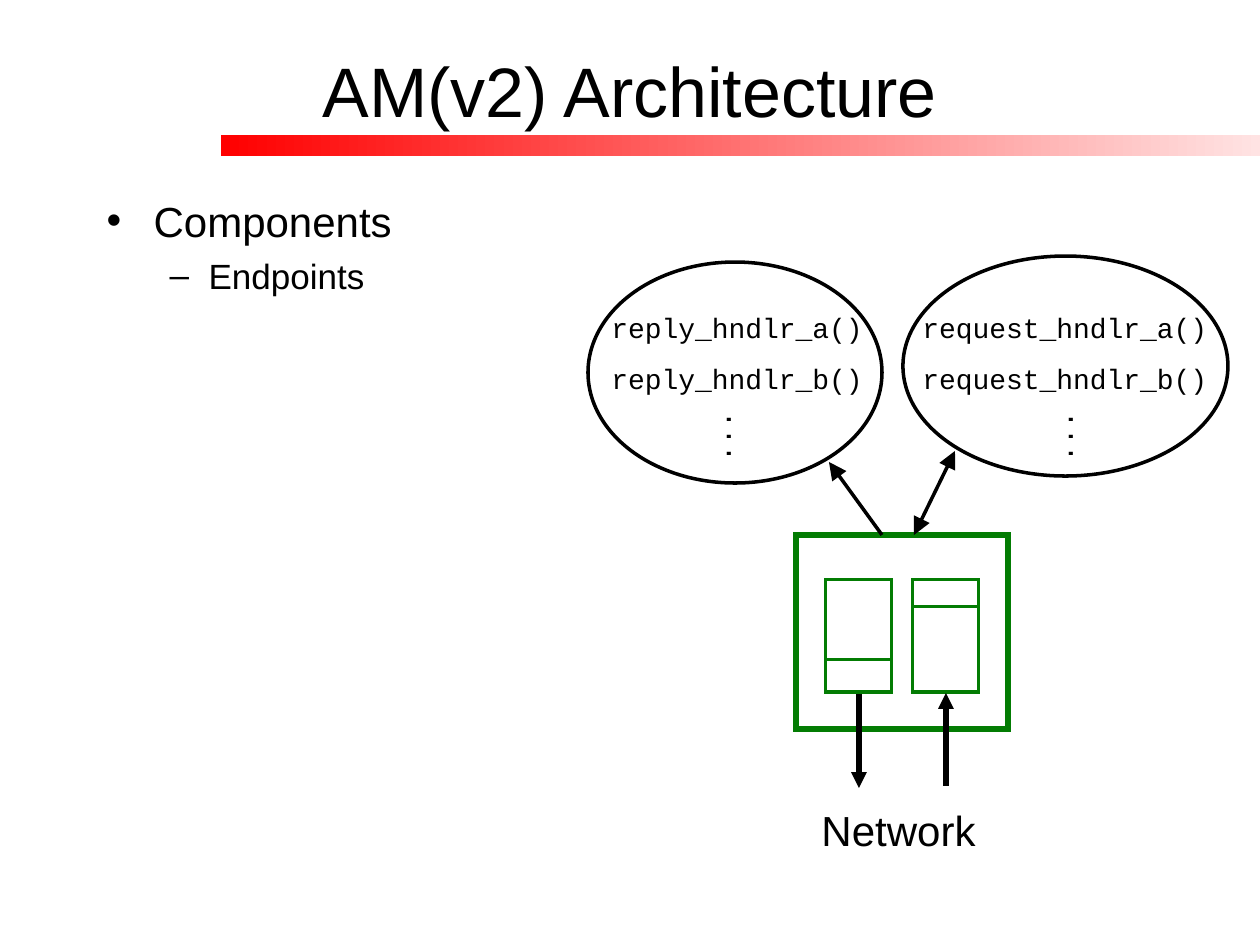
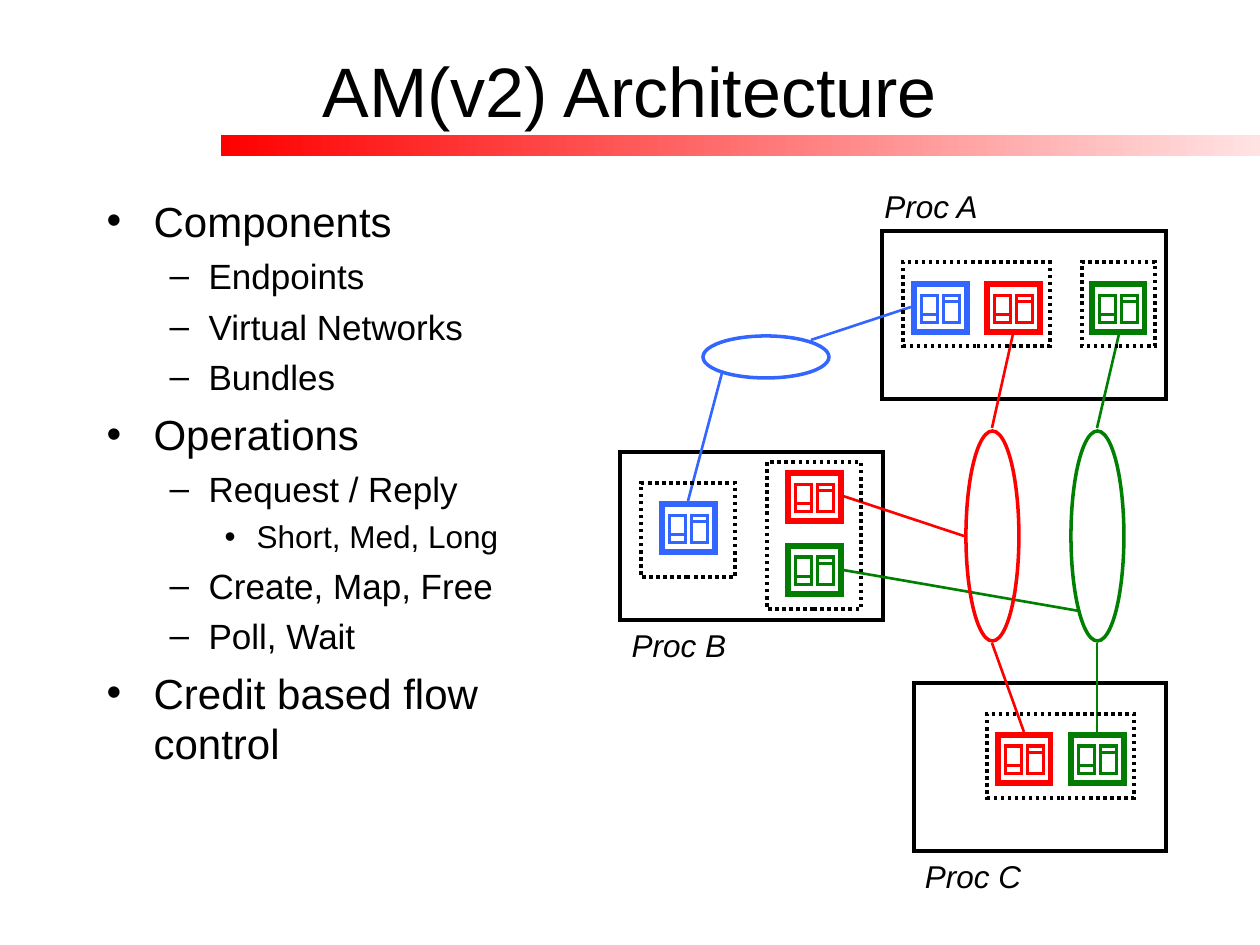
from lxml import etree
from pptx import Presentation
from pptx.dml.color import RGBColor
from pptx.enum.dml import MSO_LINE
from pptx.enum.shapes import MSO_CONNECTOR, MSO_SHAPE
from pptx.enum.text import MSO_ANCHOR, MSO_AUTO_SIZE, PP_ALIGN
from pptx.oxml.ns import qn
from pptx.util import Inches, Pt

# Scale, colours and enum members
PX = Inches(1) / 126
BLACK = RGBColor(0, 0, 0)
WHITE = RGBColor(255, 255, 255)
RED = RGBColor(255, 0, 0)
PINK = RGBColor(0xFF, 0xE3, 0xE3)
BLUE = RGBColor(0x33, 0x66, 0xFF)
GREEN = RGBColor(0x03, 0x7C, 0x03)
LIME = RGBColor(0, 0x80, 0)
RECT, OVAL = MSO_SHAPE.RECTANGLE, MSO_SHAPE.OVAL
STRAIGHT, DOTS = MSO_CONNECTOR.STRAIGHT, MSO_LINE.ROUND_DOT
LEFT, MID = PP_ALIGN.LEFT, PP_ALIGN.CENTER
CENTRE = MSO_ANCHOR.MIDDLE
FIXED, GROW = MSO_AUTO_SIZE.NONE, MSO_AUTO_SIZE.SHAPE_TO_FIT_TEXT
SANS, MONO = "Arial", "Courier New"

# Shared frame: places are left, top, width, height in px
TITLE = "AM(v2) Architecture"
TITLE_BOX = (94, 10, 1071, 158)
BODY_BOX = (94, 189, 473, 651)
BAR = (221, 135, 1039, 21)
# Per list level: bullet, size and space before in pt, margin and indent in px
LEVELS = [
    ("•", 24, 6, 47, -47),
    ("–", 20, 5, 102, -39),
    ("•", 18, 4.5, 150, -32),
]

# Slide 1: handlers, endpoint, network
SHORT = [(0, "Components"), (1, "Endpoints")]
TABLES = [  # oval, text box, dots box, names
    ((588, 262, 294, 221), (599, 304, 292, 97), (696, 418, 84, 47),
     ("reply_hndlr_a()", "reply_hndlr_b()")),
    ((903, 256, 325, 220), (910, 304, 324, 97), (1038, 418, 84, 47),
     ("request_hndlr_a()", "request_hndlr_b()")),
]
MAIN = (796, 535, 212, 194)
ARROWS = [  # from, to, width, head size, ends with a head
    ((859, 694), (859, 788), 3, "med", ("tail",)),
    ((946, 786), (946, 693), 3, "med", ("tail",)),
    ((914, 535), (955, 451), 2, "lg", ("head", "tail")),
    ((882, 535), (829, 462), 2, "lg", ("tail",)),
]
NET = ("Network", (799, 798, 199, 63))

# Slide 2: processes, bundles, endpoints, virtual networks
FULL = [
    (0, "Components"), (1, "Endpoints"), (1, "Virtual Networks"), (1, "Bundles"),
    (0, "Operations"), (1, "Request / Reply"), (2, "Short, Med, Long"),
    (1, "Create, Map, Free"), (1, "Poll, Wait"),
    (0, "Credit based flow control"),
]
PROCS = [  # label, label corner, process box
    ("Proc A", (861, 181), (882, 231, 284, 168)),
    ("Proc B", (609, 620), (620, 452, 263, 168)),
    ("Proc C", (903, 851), (914, 683, 252, 168)),
]
LABEL_SIZE = (140, 50)
BUNDLES = [
    (767, 462, 94, 147), (987, 714, 147, 84), (903, 262, 147, 84),
    (641, 483, 94, 94), (1082, 262, 73, 84),
]
ENDS = [  # colour, corners
    (RED, [(987, 284), (788, 473), (998, 735)]),
    (GREEN, [(1092, 284), (788, 546), (1071, 735)]),
    (BLUE, [(914, 284), (662, 504)]),
]
END_SIZE = (53, 48)
NETS = [  # colour, oval, links
    (LIME, (1071, 431, 53, 210),
     [((1119, 334), (1097, 428)), ((1097, 732), (1097, 643)),
      ((843, 570), (1079, 611))]),
    (RED, (966, 431, 53, 210),
     [((1013, 334), (992, 428)), ((1024, 732), (992, 643)),
      ((843, 496), (964, 536))]),
    (BLUE, (703, 336, 126, 42),
     [((811, 340), (911, 307)), ((722, 373), (688, 501))]),
]

# Endpoint queues as shares of the box: left edge, height of the level mark
QUEUES = [(0.14, 0.64), (0.55, 0.37)]
Q_TOP, Q_WIDE, Q_HIGH = 0.23, 0.31, 0.58


def emu(*nums):
    return [round(n * PX) for n in nums]


def say(frame, text, size=16, font=SANS, align=LEFT, before=0, italic=False):
    """Add one formatted paragraph to a text frame."""
    para = frame.add_paragraph() if frame.text else frame.paragraphs[0]
    para.alignment, para.space_before = align, Pt(before)
    run = para.add_run()
    run.text = text
    run.font.name, run.font.size = font, Pt(size)
    run.font.italic = italic
    run.font.color.rgb = BLACK
    return para


def label(slide, box, lines, wrap=True, turn=0, **fmt):
    note = slide.shapes.add_textbox(*emu(*box))
    note.rotation = turn
    frame = note.text_frame
    frame.word_wrap = wrap
    frame.auto_size = GROW
    frame.vertical_anchor = CENTRE
    for line in lines:
        say(frame, line, **fmt)


def draw(shapes, kind, box, ink=BLACK, width=2, fill=None, dash=None):
    item = shapes.add_shape(kind, *emu(*box))
    item.shadow.inherit = False
    if fill is None:
        item.fill.background()
    else:
        item.fill.solid()
        item.fill.fore_color.rgb = fill
    item.line.color.rgb, item.line.width = ink, Pt(width)
    if dash:
        item.line.dash_style = dash
    edge = item.element.spPr.find(qn("a:ln"))
    etree.SubElement(edge, qn("a:miter"), lim="800000")


def link(shapes, start, end, ink=BLACK, width=1.5, size="med", heads=()):
    line = shapes.add_connector(STRAIGHT, *emu(*start, *end))
    line.line.color.rgb, line.line.width = ink, Pt(width)
    props = line.element.spPr
    for side in heads:
        etree.SubElement(props.find(qn("a:ln")), qn(f"a:{side}End"),
                         type="triangle", w=size, len=size)
    etree.SubElement(props, qn("a:effectLst"))


def endpoint(slide, box, ink):
    """Draw a box with two queues, each with a level mark."""
    x, y, wide, high = box
    parts = slide.shapes.add_group_shape().shapes
    draw(parts, RECT, box, ink, 3)
    for left, mark in QUEUES:
        qx, qw, my = x + left * wide, Q_WIDE * wide, y + mark * high
        draw(parts, RECT, (qx, y + Q_TOP * high, qw, Q_HIGH * high), ink, 1.75, WHITE)
        link(parts, (qx, my), (qx + qw, my), ink, 1.75)


def place(item, box):
    item.left, item.top, item.width, item.height = emu(*box)


def add_bar(slide, layout):
    """Draw the fading band and move it to the layout."""
    bar = slide.shapes.add_shape(RECT, *emu(*BAR))
    bar.shadow.inherit = False
    bar.line.fill.background()
    bar.fill.gradient()
    bar.fill.gradient_angle = 0
    for stop, tint in zip(bar.fill.gradient_stops, (RED, PINK)):
        stop.color.rgb = tint
    layout.shapes.element.append(bar.element)


def add_slide(deck, layout, items):
    slide = deck.slides.add_slide(layout)
    head, body = slide.placeholders
    for item, box in ((head, TITLE_BOX), (body, BODY_BOX)):
        place(item, box)
        item.text_frame.auto_size = FIXED
    head.text_frame.vertical_anchor = CENTRE
    say(head.text_frame, TITLE, size=40, align=MID)
    for level, text in items:
        mark, size, gap, margin, indent = LEVELS[level]
        para = say(body.text_frame, text, size=size, before=gap)
        para.level = level
        props = para._p.get_or_add_pPr()
        for key, num in zip(("marL", "indent"), emu(margin, indent)):
            props.set(key, str(num))
        etree.SubElement(props, qn("a:buFont"), typeface=SANS)
        etree.SubElement(props, qn("a:buChar"), char=mark)
    return slide


def draw_parts(slide):
    endpoint(slide, MAIN, GREEN)
    for oval, box, dots, names in TABLES:
        label(slide, box, names, font=MONO, before=10)
        draw(slide.shapes, OVAL, oval)
        label(slide, dots, ["..."], turn=90, font=MONO, before=10)
    for start, end, width, size, heads in ARROWS:
        link(slide.shapes, start, end, width=width, size=size, heads=heads)
    text, box = NET
    label(slide, box, [text], wrap=False, size=24, align=MID, before=15)


def draw_system(slide):
    for _, _, box in PROCS:
        draw(slide.shapes, RECT, box)
    for ink, spots in ENDS:
        for spot in spots:
            endpoint(slide, spot + END_SIZE, ink)
    for ink, oval, links in NETS:
        draw(slide.shapes, OVAL, oval, ink)
        for start, end in links:
            link(slide.shapes, start, end, ink)
    for box in BUNDLES:
        draw(slide.shapes, RECT, box, dash=DOTS)
    for name, spot, _ in PROCS:
        label(slide, spot + LABEL_SIZE, [name], wrap=False, size=18, align=MID,
              before=11.2, italic=True)


def main():
    deck = Presentation()
    deck.slide_width, deck.slide_height = Inches(10), Inches(7.5)
    layout = deck.slide_layouts[1]
    first = add_slide(deck, layout, SHORT)
    add_bar(first, layout)
    draw_parts(first)
    draw_system(add_slide(deck, layout, FULL))
    deck.save("out.pptx")


if __name__ == "__main__":
    main()
